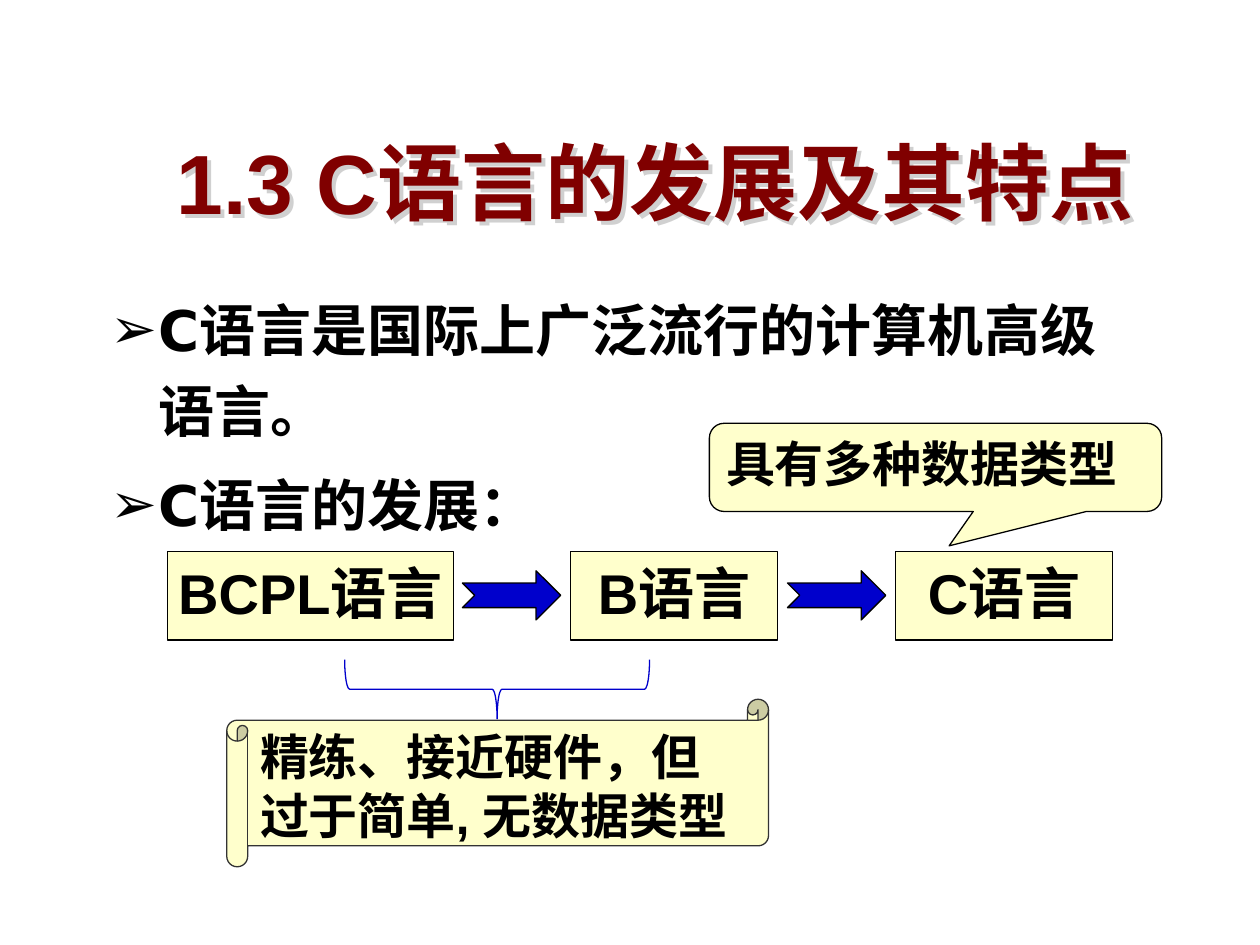
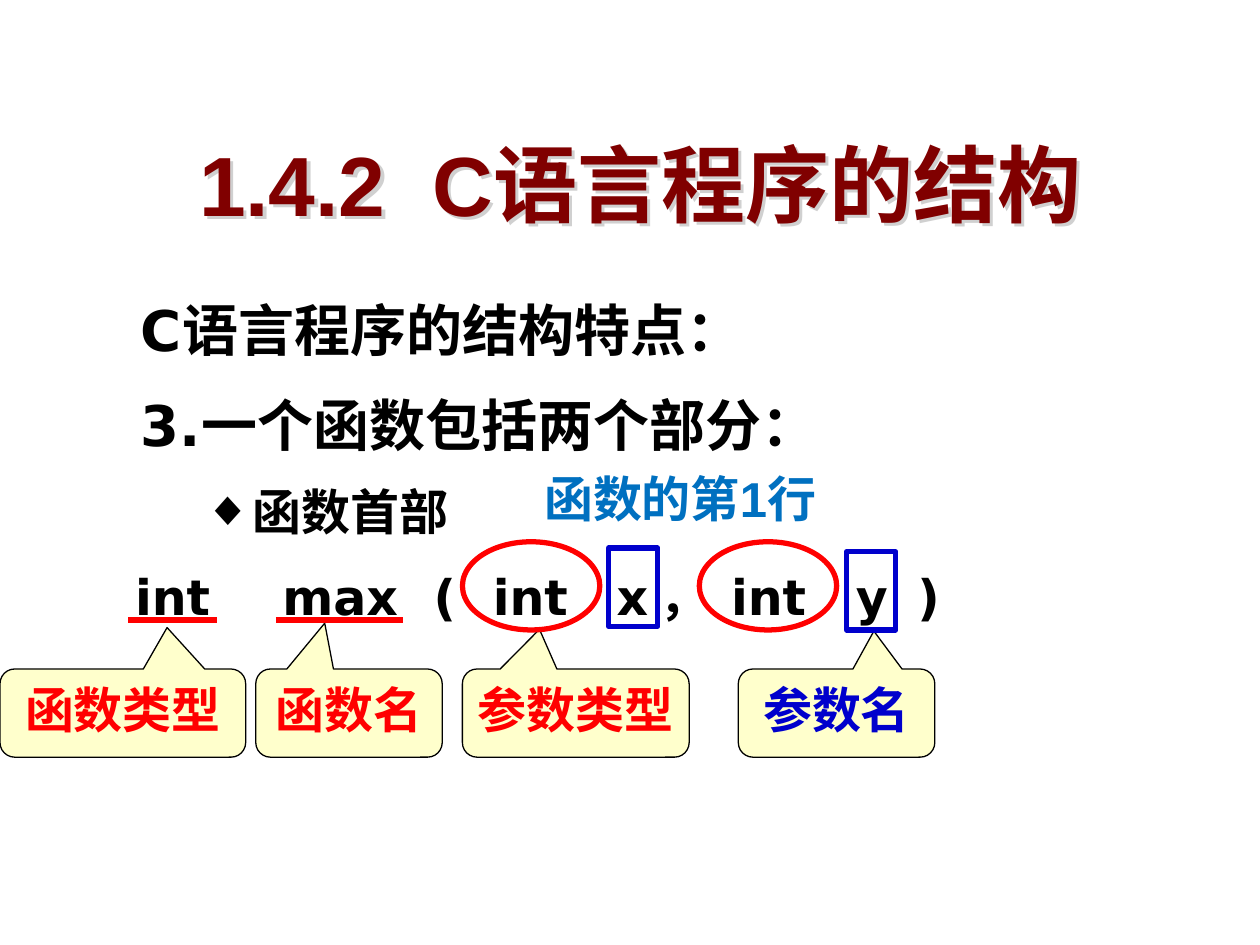
from dataclasses import dataclass

from lxml import etree
from pptx import Presentation
from pptx.dml.color import RGBColor
from pptx.enum.shapes import MSO_CONNECTOR, MSO_SHAPE
from pptx.enum.text import MSO_ANCHOR, MSO_AUTO_SIZE, PP_ALIGN
from pptx.oxml.ns import qn
from pptx.util import Inches, Pt

BOX = MSO_SHAPE.FLOWCHART_PROCESS
ARROW = MSO_SHAPE.NOTCHED_RIGHT_ARROW
BRACE = MSO_SHAPE.RIGHT_BRACE
SCROLL = MSO_SHAPE.HORIZONTAL_SCROLL
BUBBLE = MSO_SHAPE.ROUNDED_RECTANGULAR_CALLOUT
RING = MSO_SHAPE.FLOWCHART_CONNECTOR
FRAME = MSO_SHAPE.RECTANGLE
STRAIGHT = MSO_CONNECTOR.STRAIGHT
LEFT, CENTER = PP_ALIGN.LEFT, PP_ALIGN.CENTER
TOP, BOTTOM = MSO_ANCHOR.TOP, MSO_ANCHOR.BOTTOM


@dataclass(frozen=True)
class Theme:
    black: str = "000000"
    grey: str = "333333"
    shade: str = "D0D0D0"
    maroon: str = "800000"
    cream: str = "FFFFCC"
    blue: str = "0000CC"
    sky: str = "0070C0"
    red: str = "FF0000"
    sans: str = "Arial"
    body: str = "DejaVu Sans"
    head: int = 48
    large: int = 32
    small: int = 28
    thin: float = 0.75
    thick: float = 3


THEME = Theme()


def rgb(code):
    return RGBColor.from_string(code)


def place(shape, area):
    shape.left, shape.top, shape.width, shape.height = map(Inches, area)


def style(para, size, color=THEME.black, face=THEME.sans, align=LEFT):
    para.alignment = align
    font = para.font
    font.name, font.size, font.bold = face, Pt(size), True
    font.color.rgb = rgb(color)


def add_title(slide, text, area):
    title = slide.shapes.title
    place(title, area)
    frame = title.text_frame
    frame.text = text
    frame.auto_size = MSO_AUTO_SIZE.NONE
    frame.vertical_anchor = BOTTOM
    style(frame.paragraphs[0], THEME.head, THEME.maroon, align=CENTER)
    effects = etree.SubElement(title._element.spPr, qn("a:effectLst"))
    shadow = etree.SubElement(effects, qn("a:outerShdw"), dist="38100", dir="2700000")
    etree.SubElement(shadow, qn("a:srgbClr"), val=THEME.shade)


def fill_text(frame, lines, size, color=THEME.black, face=THEME.sans, align=LEFT):
    frame.text = "\n".join(lines)
    for para in frame.paragraphs:
        style(para, size, color, face, align)


def add_text(slide, area):
    frame = slide.shapes.add_textbox(*map(Inches, area)).text_frame
    frame.word_wrap = True
    return frame


def add_prop(para, tag, **attrs):
    """Put a paragraph property in its place ahead of the default font."""
    node = etree.Element(qn(tag), **attrs)
    para._p.get_or_add_pPr().insert_element_before(node, "a:defRPr")


def set_indent(para, margin, hang):
    props = para._p.get_or_add_pPr()
    props.set("marL", str(Inches(margin)))
    props.set("indent", str(-Inches(hang)))


def add_body(slide, area, items):
    """Each item is text, size, space before, margin, hang, bullet."""
    frame = add_text(slide, area)
    frame.text = "\n".join(item[0] for item in items)
    for para, (_, size, before, margin, hang, mark) in zip(frame.paragraphs, items):
        style(para, size, face=THEME.body)
        para.line_spacing, para.space_before = 1.2, Pt(before)
        set_indent(para, margin, hang)
        if mark:
            add_prop(para, "a:buFont", typeface=THEME.sans)
            add_prop(para, "a:buChar", char=mark)
        else:
            add_prop(para, "a:buNone")


def add_shape(slide, kind, area, fill=None, line=THEME.black, width=THEME.thin, adjust=()):
    shape = slide.shapes.add_shape(kind, *map(Inches, area))
    shape.shadow.inherit = False
    if fill:
        shape.fill.solid()
        shape.fill.fore_color.rgb = rgb(fill)
    else:
        shape.fill.background()
    shape.line.color.rgb = rgb(line)
    shape.line.width = Pt(width)
    for index, value in enumerate(adjust):
        shape.adjustments[index] = value
    return shape


def add_note(slide, kind, area, lines, size=THEME.small, color=THEME.black,
             align=CENTER, line=THEME.black, adjust=()):
    shape = add_shape(slide, kind, area, THEME.cream, line, adjust=adjust)
    frame = shape.text_frame
    frame.word_wrap = False
    frame.vertical_anchor = TOP
    fill_text(frame, lines, size, color, align=align)


def add_token(slide, text, middle):
    """Centre one piece of the function header on a given x."""
    width = 1.4
    frame = add_text(slide, (middle - width / 2, 4.41, width, 0.6))
    frame.vertical_anchor = BOTTOM
    fill_text(frame, [text], THEME.small, face=THEME.body, align=CENTER)


def add_rule(slide, left, right, y):
    rule = slide.shapes.add_connector(STRAIGHT, *map(Inches, (left, y, right, y)))
    rule.line.color.rgb = rgb(THEME.red)
    rule.line.width = Pt(THEME.thick)
    etree.SubElement(rule._element.spPr, qn("a:effectLst"))


def build_history(slide):
    add_title(slide, "1.3 C语言的发展及其特点", (1.02, 0.86, 8.36, 1.03))
    points = ("C语言是国际上广泛流行的计算机高级语言。", "C语言的发展：")
    add_body(slide, (0.78, 2.19, 8.35, 2.34),
             [(text, THEME.large, 8, 0.38, 0.38, "➢") for text in points])

    stages = (("BCPL语言", 1.33, 2.27), ("B语言", 4.53, 1.64), ("C语言", 7.11, 1.72))
    for name, left, width in stages:
        add_note(slide, BOX, (left, 4.38, width, 0.7), [name], THEME.large)
    for left in (3.67, 6.25):
        add_shape(slide, ARROW, (left, 4.53, 0.78, 0.39), THEME.blue)

    brace = add_shape(slide, BRACE, (3.71, 4.26, 0.47, 2.42), line=THEME.blue)
    brace.rotation = 90
    add_note(slide, SCROLL, (1.8, 5.55, 4.3, 1.33),
             ["精练、接近硬件，但", "过于简单, 无数据类型"], align=LEFT, line=THEME.grey)
    add_note(slide, BUBBLE, (5.63, 3.36, 3.59, 0.7), ["具有多种数据类型"],
             align=LEFT, adjust=(0.03, 0.89))


def build_header(slide):
    add_title(slide, "1.4.2  C语言程序的结构", (0.47, 0.99, 9.22, 0.91))
    add_body(slide, (1.02, 2.19, 8.28, 2.2), [
        ("C语言程序的结构特点：", THEME.large, 8, 0.38, 0.38, None),
        ("3.一个函数包括两个部分：", THEME.large, 8, 0.38, 0.38, None),
        ("函数首部", THEME.small, 7, 0.81, 0.31, "◆"),
    ])
    fill_text(add_text(slide, (4.22, 3.67, 2.81, 0.57)), ["函数的第1行"],
              THEME.small, THEME.sky)

    tokens = (("int", 1.37), ("max", 2.7), ("(", 3.53), ("int", 4.21), ("x", 5.02),
              ("，", 5.43), ("int", 6.1), ("y", 6.92), (")", 7.37))
    for text, middle in tokens:
        add_token(slide, text, middle)

    labels = (
        ("函数类型", 0, 1.95, THEME.red, (0.18, -0.97)),
        ("函数名", 2.03, 1.48, THEME.red, (-0.13, -1.02)),
        ("参数类型", 3.67, 1.8, THEME.red, (-0.16, -0.95)),
        ("参数名", 5.86, 1.56, THEME.blue, (0.19, -0.93)),
    )
    for text, left, width, color, tip in labels:
        add_note(slide, BUBBLE, (left, 5.31, width, 0.7), [text], color=color, adjust=tip)

    for left, right in ((1.02, 1.72), (2.19, 3.2)):
        add_rule(slide, left, right, 4.92)
    for left in (3.67, 5.55):
        add_shape(slide, RING, (left, 4.3, 1.09, 0.7), line=THEME.red, width=THEME.thick)
    for left, top in ((4.83, 4.35), (6.72, 4.38)):
        add_shape(slide, FRAME, (left, top, 0.39, 0.62), line=THEME.blue, width=THEME.thick)


def main():
    deck = Presentation()
    deck.slide_width, deck.slide_height = Inches(10), Inches(7.5)
    layout = deck.slide_layouts.get_by_name("Title Only")
    for build in (build_history, build_header):
        build(deck.slides.add_slide(layout))
    deck.save("out.pptx")


if __name__ == "__main__":
    main()
